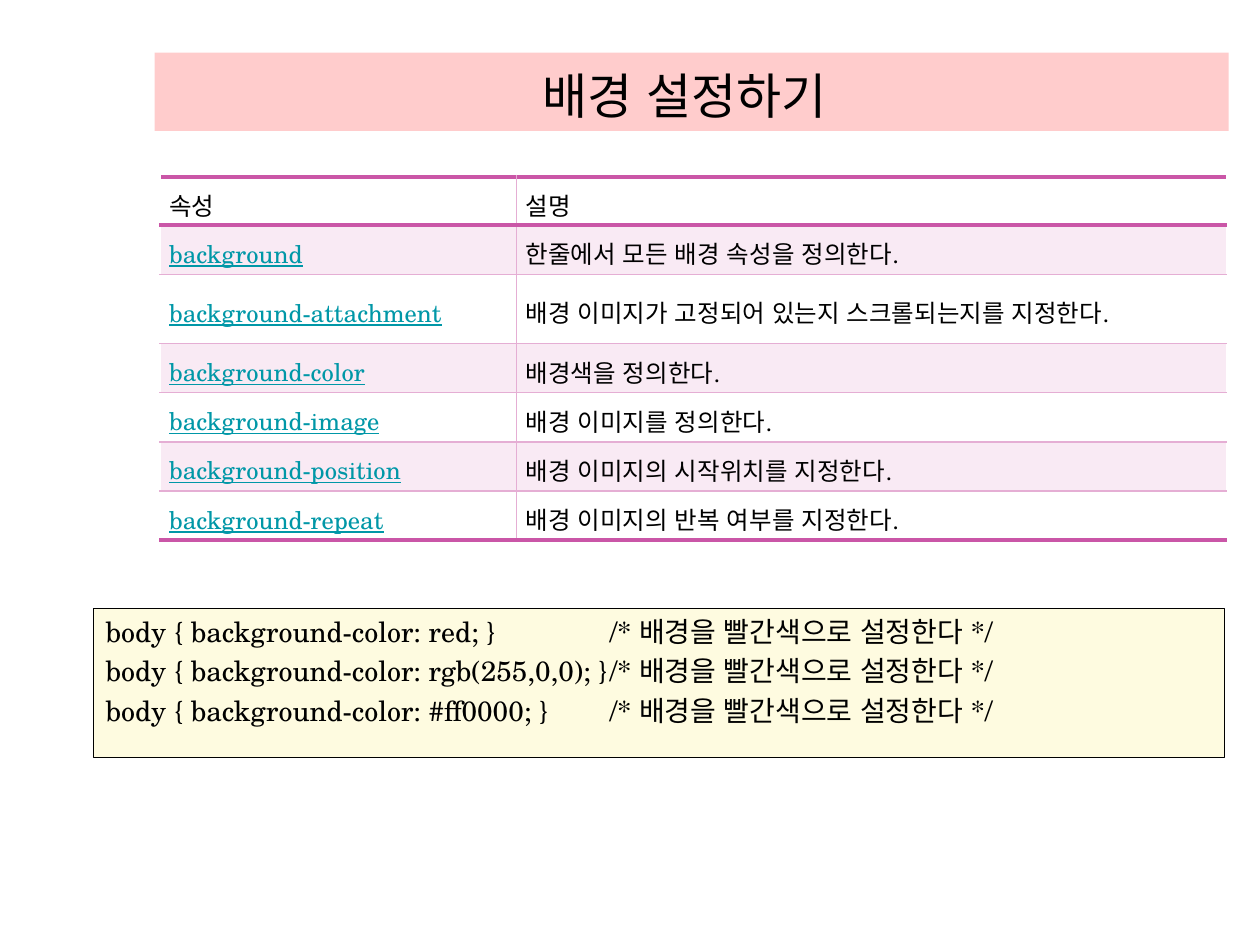
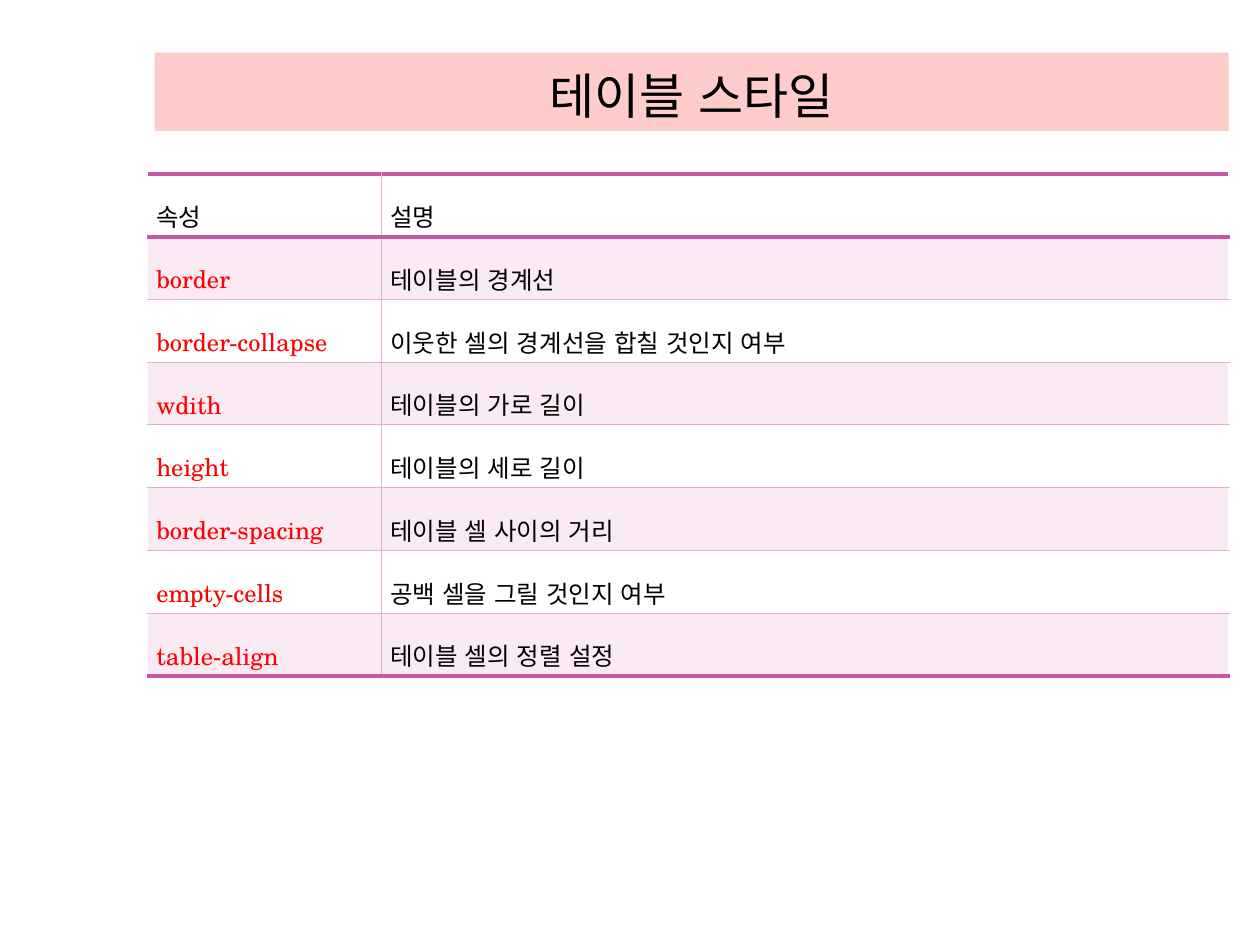
from dataclasses import dataclass

from lxml import etree
from pptx import Presentation
from pptx.dml.color import RGBColor
from pptx.enum.lang import MSO_LANGUAGE_ID
from pptx.enum.shapes import MSO_SHAPE
from pptx.enum.text import MSO_ANCHOR, PP_ALIGN
from pptx.oxml.ns import qn
from pptx.util import Cm, Pt

RECTANGLE = MSO_SHAPE.RECTANGLE
TOP, MIDDLE, BOTTOM = MSO_ANCHOR.TOP, MSO_ANCHOR.MIDDLE, MSO_ANCHOR.BOTTOM
LEFT, CENTER, JUSTIFY = PP_ALIGN.LEFT, PP_ALIGN.CENTER, PP_ALIGN.JUSTIFY
KOREAN = MSO_LANGUAGE_ID.KOREAN
BLANK_LAYOUT = 6


@dataclass(frozen=True)
class Theme:
    font: str = "TeX Gyre Schola"
    text: str = "000000"
    link: str = "0097A7"
    keyword: str = "FF0000"
    title_band: str = "FFCCCC"
    code_fill: str = "FEFBE0"
    plain_row: str = "FFFFFF"
    tinted_row: str = "F9EAF4"
    strong_rule: tuple = ("CA56A7", 2.55)
    thin_rule: tuple = ("E5AED4", 0.75)
    title_size: float = 28
    code_size: float = 16
    table_size: float = 14
    code_gap: float = 3.2


THEME = Theme()

BACKGROUND_ROWS = [
    ("속성", "설명"),
    ("background", "한줄에서 모든 배경 속성을 정의한다."),
    ("background-attachment", "배경 이미지가 고정되어 있는지 스크롤되는지를 지정한다."),
    ("background-color", "배경색을 정의한다."),
    ("background-image", "배경 이미지를 정의한다."),
    ("background-position", "배경 이미지의 시작위치를 지정한다."),
    ("background-repeat", "배경 이미지의 반복 여부를 지정한다."),
]
TABLE_STYLE_ROWS = [
    ("속성", "설명"),
    ("border", "테이블의 경계선"),
    ("border-collapse", "이웃한 셀의 경계선을 합칠 것인지 여부"),
    ("wdith", "테이블의 가로 길이"),
    ("height", "테이블의 세로 길이"),
    ("border-spacing", "테이블 셀 사이의 거리"),
    ("empty-cells", "공백 셀을 그릴 것인지 여부"),
    ("table-align", "테이블 셀의 정렬 설정"),
]
CODE_LINES = [
    "body { background-color: red; } \t\t/* 배경을 빨간색으로 설정한다 */",
    "body { background-color: rgb(255,0,0); }\t/* 배경을 빨간색으로 설정한다 */",
    "body { background-color: #ff0000; }\t/* 배경을 빨간색으로 설정한다 */",
]


def set_all(target, values):
    for name, value in values.items():
        setattr(target, name, value)


def fill_solid(target, color):
    target.fill.solid()
    target.fill.fore_color.rgb = RGBColor.from_string(color)


def write_line(paragraph, text, size, color=THEME.text, underline=False, **layout):
    """Put one run in the paragraph; layout holds paragraph format values."""
    set_all(paragraph, layout)
    run = paragraph.add_run()
    run.text = text
    set_all(run.font, {"name": THEME.font, "size": Pt(size), "bold": False,
                       "underline": underline, "language_id": KOREAN})
    run.font.color.rgb = RGBColor.from_string(color)


def add_panel(slide, left, top, width, height, color, anchor):
    panel = slide.shapes.add_shape(RECTANGLE, Cm(left), Cm(top), Cm(width), Cm(height))
    panel.shadow.inherit = False
    fill_solid(panel, color)
    set_all(panel.text_frame, {"word_wrap": True, "vertical_anchor": anchor})
    return panel


def add_title(slide, title):
    band = add_panel(slide, 3.12, 1.06, 21.65, 1.58, THEME.title_band, BOTTOM)
    band.line.fill.background()
    write_line(band.text_frame.paragraphs[0], title, THEME.title_size, alignment=CENTER)


def add_code_box(slide, lines):
    box = add_panel(slide, 1.88, 12.27, 22.81, 3, THEME.code_fill, TOP)
    box.line.color.rgb = RGBColor.from_string(THEME.text)
    box.line.width = Pt(0.75)
    frame = box.text_frame
    for number, line in enumerate(lines):
        paragraph = frame.add_paragraph() if number else frame.paragraphs[0]
        write_line(paragraph, line, THEME.code_size, alignment=LEFT,
                   space_before=Pt(THEME.code_gap if number else 0))


def set_borders(cell, rules):
    """Draw the (side, (colour, points)) rules, given in the order L, R, T, B."""
    properties = cell._tc.get_or_add_tcPr()
    for position, (side, (color, points)) in enumerate(rules):
        line = etree.Element(qn(f"a:ln{side}"), w=str(Pt(points)))
        solid = etree.SubElement(line, qn("a:solidFill"))
        etree.SubElement(solid, qn("a:srgbClr"), val=color)
        properties.insert(position, line)


def cell_rules(row, column, last_row):
    def horizontal(edge):
        strong = edge in (0, 1, last_row + 1)
        return THEME.strong_rule if strong else THEME.thin_rule

    inner_side = "L" if column else "R"
    return [(inner_side, THEME.thin_rule), ("T", horizontal(row)),
            ("B", horizontal(row + 1))]


def add_property_table(slide, rows, left, top, widths, heights, spacing, name_style):
    """Two columns: property names in name_style, then their descriptions."""
    table = slide.shapes.add_table(len(rows), len(widths), Cm(left), Cm(top),
                                   Cm(sum(widths)), Cm(sum(heights))).table
    set_all(table, {"first_row": False, "horz_banding": False})
    for column, width in zip(table.columns, widths):
        column.width = Cm(width)
    for row, height in zip(table.rows, heights):
        row.height = Cm(height)
    for r, texts in enumerate(rows):
        for c, text in enumerate(texts):
            cell = table.cell(r, c)
            set_all(cell, {"vertical_anchor": MIDDLE,
                           "margin_left": Cm(0.18), "margin_right": Cm(0.18),
                           "margin_top": Cm(0.05), "margin_bottom": Cm(0.05)})
            fill_solid(cell, THEME.tinted_row if r % 2 else THEME.plain_row)
            set_borders(cell, cell_rules(r, c, len(rows) - 1))
            style = name_style if r and c == 0 else {}
            write_line(cell.text_frame.paragraphs[0], text, THEME.table_size,
                       alignment=JUSTIFY, line_spacing=spacing, **style)


def main():
    deck = Presentation()
    set_all(deck, {"slide_width": Cm(25.4), "slide_height": Cm(19.05)})
    blank = deck.slide_layouts[BLANK_LAYOUT]

    background = deck.slides.add_slide(blank)
    # The trailing space is part of the centred title line.
    add_title(background, "배경 설정하기 ")
    add_property_table(background, BACKGROUND_ROWS, 3.23, 3.56, (7.19, 14.3),
                       [0.98] * 2 + [1.4] + [0.98] * 4, 1.2,
                       {"color": THEME.link, "underline": True})
    add_code_box(background, CODE_LINES)

    table_style = deck.slides.add_slide(blank)
    add_title(table_style, "테이블 스타일")
    add_property_table(table_style, TABLE_STYLE_ROWS, 2.97, 3.51, (4.72, 17.09),
                       [1.26] * len(TABLE_STYLE_ROWS), 1.6, {"color": THEME.keyword})

    deck.save("out.pptx")


if __name__ == "__main__":
    main()
